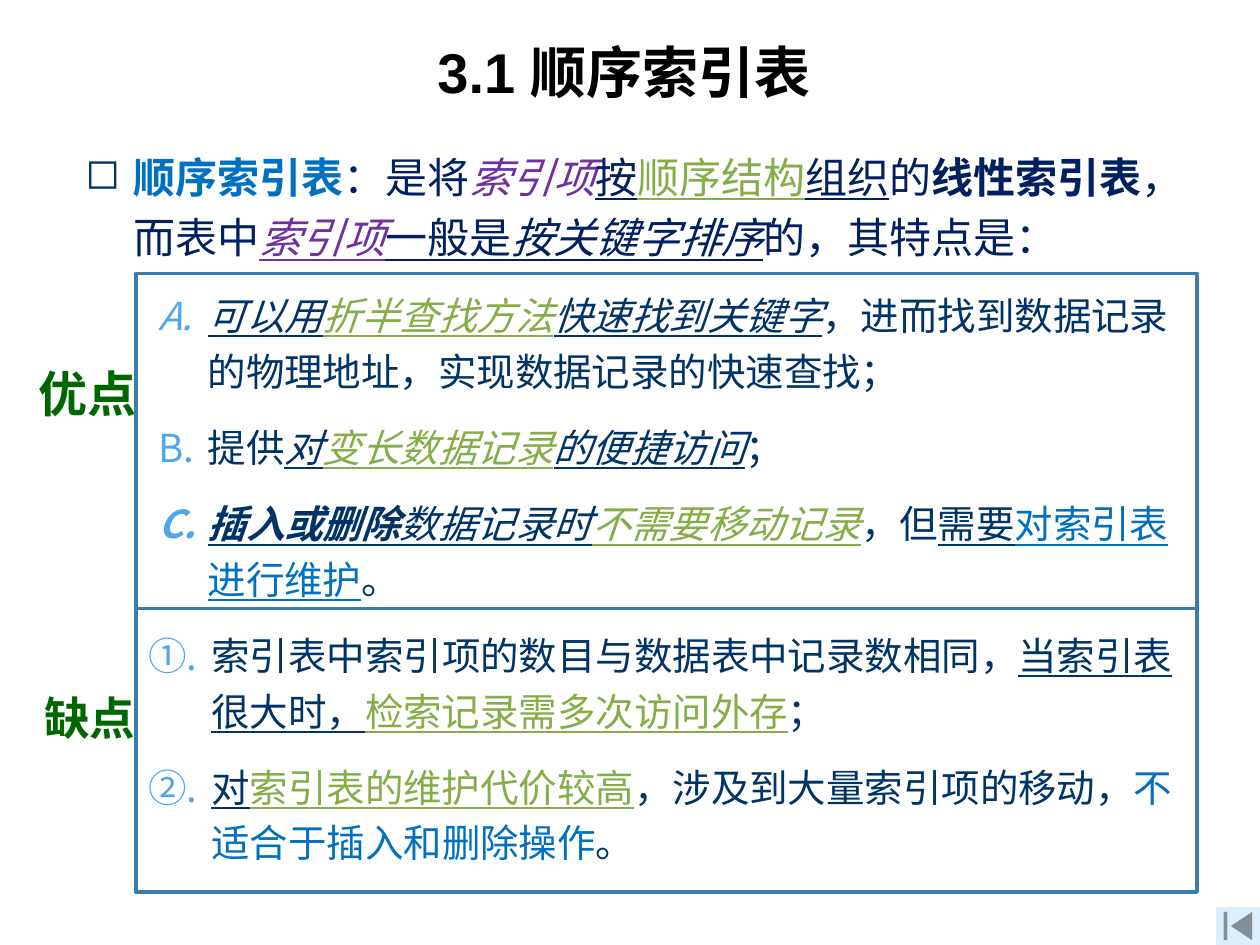
from lxml.etree import SubElement
from pptx import Presentation
from pptx.dml.color import RGBColor
from pptx.enum.shapes import MSO_SHAPE
from pptx.enum.text import MSO_ANCHOR, PP_ALIGN
from pptx.oxml.ns import qn
from pptx.util import Inches, Pt

WIDTH, HEIGHT = 10, 7.5
FONT = "Arial"
COLORS = {
    "black": "000000", "navy": "002060", "ink": "003366", "blue": "0070C0",
    "purple": "7030A0", "lime": "85AE49", "green": "006600",
    "marker": "4EA7EA", "frame": "3A7CAD", "button": "DCEDFB",
}

# Frames for advantages and drawbacks share one column
FRAME_LEFT, FRAME_WIDTH = 1.08, 8.42
FRAME_TOPS = (2.17, 4.83, 7.08)

# Paragraph kinds: level, left margin, hanging indent, size, bullet colour, tag, attributes
STYLES = {
    "intro": (0, 0.38, 0.38, 24, "ink", "a:buChar", {"char": "◻"}),
    "letter": (1, 0.97, 0.39, 22, "marker", "a:buAutoNum", {"type": "alphaUcPeriod"}),
    "circle": (1, 1, 0.5, 22, "marker", "a:buAutoNum", {"type": "circleNumDbPlain"}),
}

# Each run: text, colour, and any of b (bold), i (italic), u (underline)
BODY = [
    ("intro", [
        ("顺序索引表", "blue", "b"), ("：是将", "navy", ""), ("索引项", "purple", "i"),
        ("按", "navy", "u"), ("顺序结构", "lime", "u"), ("组织", "navy", "u"),
        ("的", "navy", ""), ("线性索引表", "navy", "b"), ("，而表中", "navy", ""),
        ("索引项", "purple", "iu"), ("一般是", "navy", "u"),
        ("按关键字排序", "navy", "iu"), ("的，其特点是：", "navy", "")]),
    ("letter", [
        ("可以用", "ink", "iu"), ("折半查找方法", "lime", "iu"),
        ("快速找到关键字", "ink", "iu"),
        ("，进而找到数据记录的物理地址，实现数据记录的快速查找；", "ink", "")]),
    ("letter", [
        ("提供", "ink", ""), ("对", "ink", "iu"), ("变长数据记录", "lime", "iu"),
        ("的便捷访问", "ink", "iu"), ("；", "ink", "")]),
    ("letter", [
        ("插入或删除", "ink", "biu"), ("数据记录时", "ink", "iu"),
        ("不需要移动记录", "lime", "iu"), ("，但", "ink", ""), ("需要", "ink", "u"),
        ("对索引表进行维护", "blue", "u"), ("。", "ink", "")]),
    ("circle", [
        ("索引表中索引项的数目与数据表中记录数相同，", "ink", ""),
        ("当索引表很大时，", "ink", "u"), ("检索记录需多次访问外存", "lime", "u"),
        ("；", "ink", "")]),
    ("circle", [
        ("对", "ink", "u"), ("索引表的维护代价较高", "lime", "u"),
        ("，涉及到大量索引项的移动，", "ink", ""),
        ("不适合于插入和删除操作", "blue", ""), ("。", "ink", "")]),
]


def rgb(name):
    return RGBColor.from_string(COLORS[name])


def add_text_frame(slide, box, wrap=True):
    frame = slide.shapes.add_textbox(*map(Inches, box)).text_frame
    frame.word_wrap = wrap
    return frame


def add_heading(slide, box, text, size, color, wrap=True):
    """Centred bold text of one style."""
    frame = add_text_frame(slide, box, wrap)
    frame.vertical_anchor = MSO_ANCHOR.MIDDLE
    paragraph = frame.paragraphs[0]
    paragraph.text = text
    paragraph.alignment = PP_ALIGN.CENTER
    font = paragraph.font
    font.name, font.size, font.bold = FONT, Pt(size), True
    font.color.rgb = rgb(color)


def format_paragraph(paragraph, style):
    level, margin, hanging, size, color, tag, attributes = STYLES[style]
    paragraph.level = level
    paragraph.line_spacing = 1.2
    paragraph.space_before = Pt(12)
    properties = paragraph._p.get_or_add_pPr()
    properties.set("marL", str(Inches(margin)))
    properties.set("indent", str(-Inches(hanging)))
    bullet_color = SubElement(properties, qn("a:buClr"))
    SubElement(bullet_color, qn("a:srgbClr"), val=COLORS[color])
    SubElement(properties, qn(tag), **attributes)
    paragraph.font.name = FONT
    paragraph.font.size = Pt(size)


def add_body(slide, box):
    frame = add_text_frame(slide, box)
    for index, (style, runs) in enumerate(BODY):
        paragraph = frame.add_paragraph() if index else frame.paragraphs[0]
        format_paragraph(paragraph, style)
        for text, color, marks in runs:
            run = paragraph.add_run()
            run.text = text
            run.font.color.rgb = rgb(color)
            run.font.bold = "b" in marks
            run.font.italic = "i" in marks
            run.font.underline = "u" in marks


def add_box(slide, kind, box, fill=None, line=None):
    shape = slide.shapes.add_shape(kind, *map(Inches, box))
    shape.shadow.inherit = False
    if fill:
        shape.fill.solid()
        shape.fill.fore_color.rgb = rgb(fill)
    else:
        shape.fill.background()
    if line:
        shape.line.color.rgb = rgb(line)
        shape.line.width = Pt(2)
    else:
        shape.line.fill.background()


def main():
    presentation = Presentation()
    presentation.slide_width = Inches(WIDTH)
    presentation.slide_height = Inches(HEIGHT)
    slide = presentation.slides.add_slide(presentation.slide_layouts[6])

    # Title and main text
    add_heading(slide, (1.08, 0.3, 7.75, 0.53), "3.1 顺序索引表", 32, "black")
    add_body(slide, (0.58, 1.07, 8.96, 5.93))

    # Side labels
    add_heading(slide, (0.2, 2.83, 0.99, 0.57), "优点", 28, "green", wrap=False)
    add_heading(slide, (0.25, 5.42, 0.93, 0.54), "缺点", 26, "green", wrap=False)

    # Frames around the two lists
    for top, bottom in zip(FRAME_TOPS, FRAME_TOPS[1:]):
        add_box(slide, MSO_SHAPE.RECTANGLE,
                (FRAME_LEFT, top, FRAME_WIDTH, bottom - top), line="frame")

    # Navigation button in the bottom right corner
    add_box(slide, MSO_SHAPE.ACTION_BUTTON_BEGINNING,
            (WIDTH - 0.35, HEIGHT - 0.3, 0.35, 0.3), fill="button")

    presentation.save("out.pptx")


if __name__ == "__main__":
    main()
